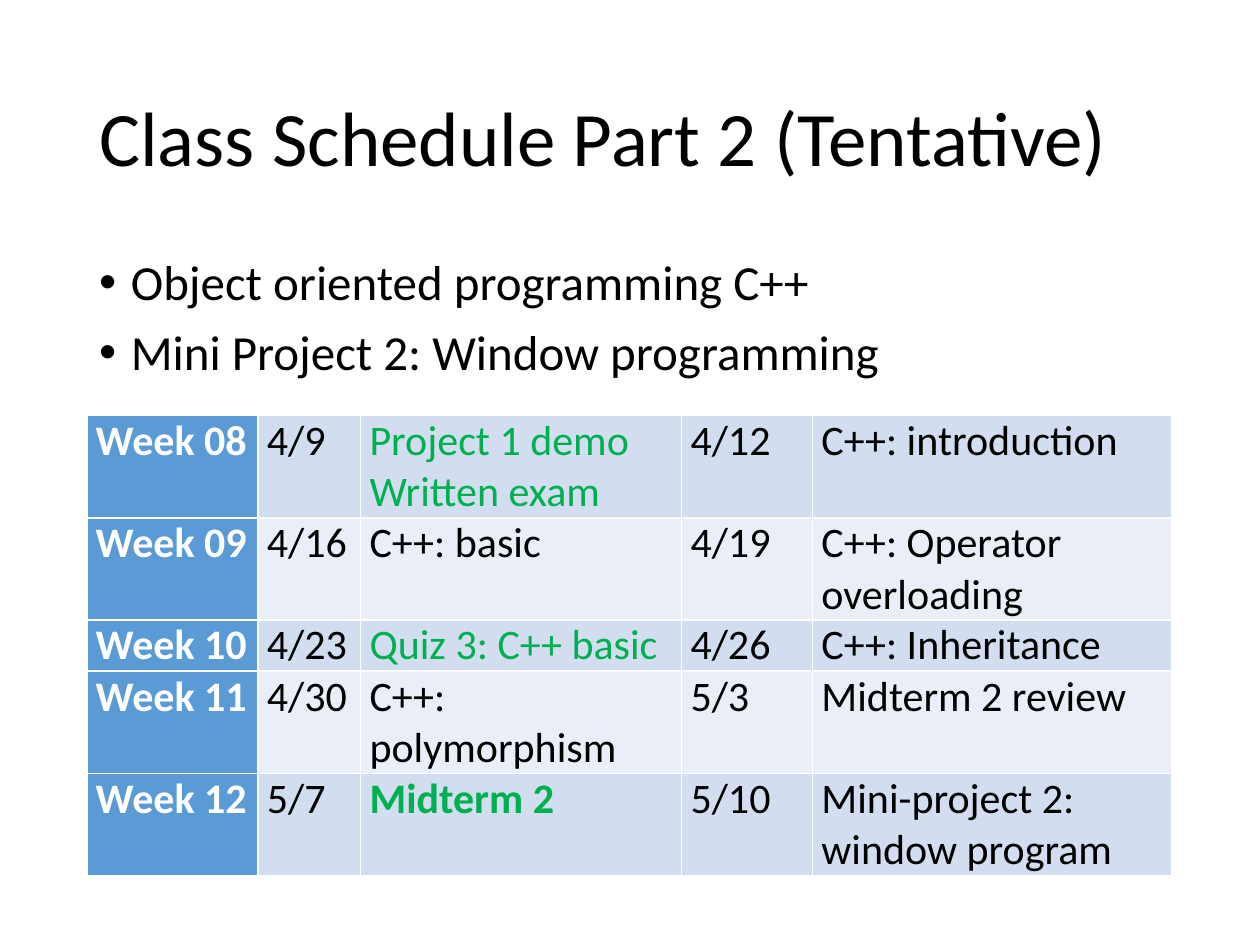
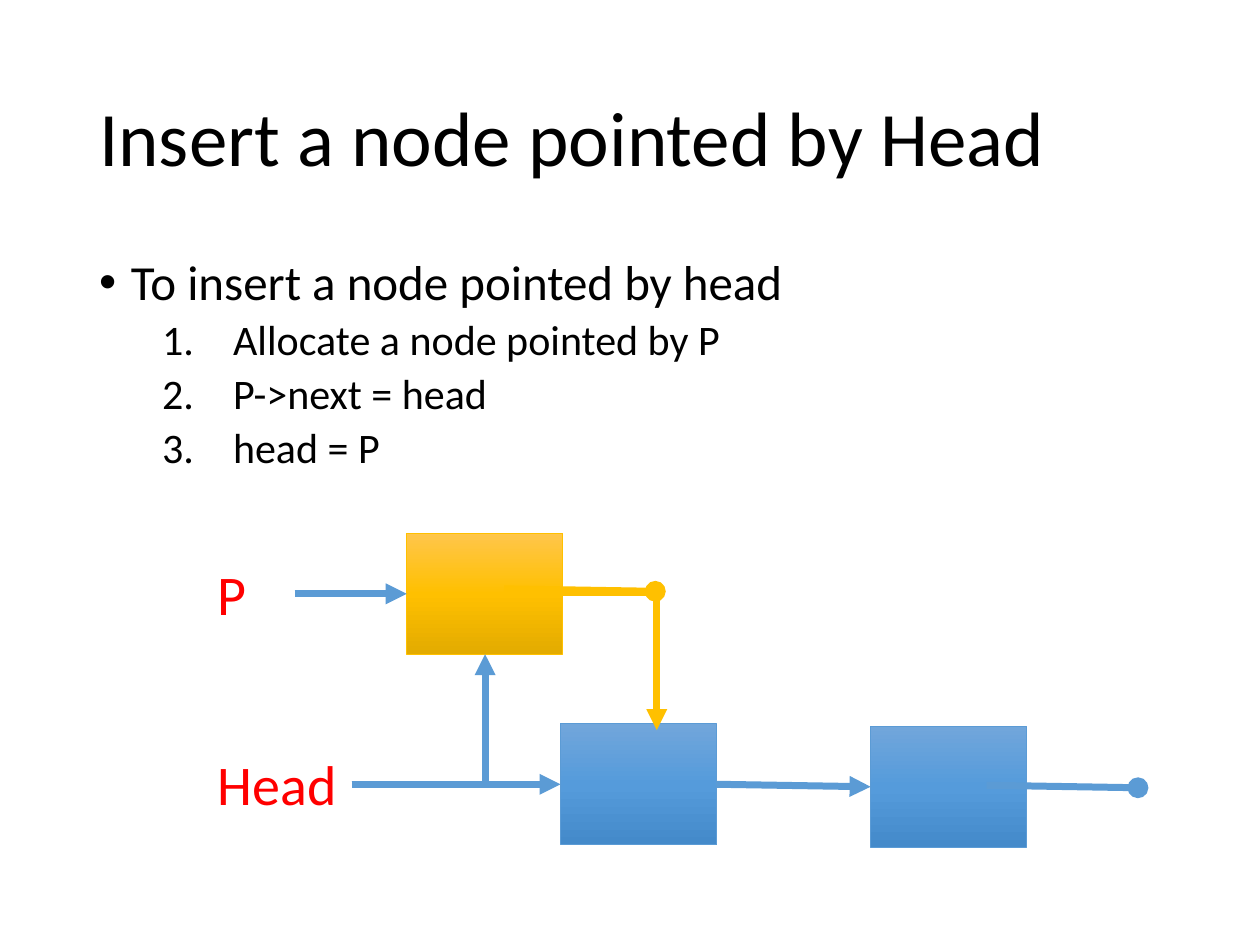
import copy

import pptx
import pptx.dml.color
import pptx.enum.dml
import pptx.enum.shapes
import pptx.enum.text
import pptx.oxml
import pptx.oxml.ns
import pptx.util
from lxml import etree

Cm = pptx.util.Cm
Pt = pptx.util.Pt
qn = pptx.oxml.ns.qn
STRAIGHT = pptx.enum.shapes.MSO_CONNECTOR.STRAIGHT
ELBOW = pptx.enum.shapes.MSO_CONNECTOR.ELBOW

FONT = "Calibri"
COLORS = {
    "text": "000000",
    "label": "FF0000",
    "exam": "00B050",
    "white": "FFFFFF",
    "blue": "5B9BD5",
    "gold": "FFC000",
    "band_dark": "D2DEEF",
    "band_light": "EAEFF7",
}
GRADIENTS = {
    "blue": ["71A6DB", "559BDB", "448ACA"],
    "gold": ["FFC64B", "FFC000", "E3AB00"],
}
TITLE_BOX = (1.75, 1.02, 21.9, 3.68)
BODY_BOX = (1.75, 5.07, 21.9, 12.1)
TABLE_BOX = (1.75, 8.38)
DIAGRAM_BOX = (4.14, 10.75)
COLUMN_WIDTHS = [3.45, 2.07, 6.47, 2.64, 7.24]
LINE_HEIGHT = 1.03
NODE_SIZE = (3.15, 2.44)

SCHEDULE = [
    ["Week 08", "4/9", "Project 1 demo\nWritten exam", "4/12", "C++: introduction"],
    ["Week 09", "4/16", "C++: basic", "4/19", "C++: Operator overloading"],
    ["Week 10", "4/23", "Quiz 3: C++ basic", "4/26", "C++: Inheritance"],
    ["Week 11", "4/30", "C++: polymorphism", "5/3", "Midterm 2 review"],
    ["Week 12", "5/7", "Midterm 2", "5/10", "Mini-project 2: window program"],
]
ROW_LINES = [2, 2, 1, 2, 2]
EXAM_ROWS = (0, 2, 4)
BOLD_EXAM = "Midterm 2"


def rgb(value):
    return pptx.dml.color.RGBColor.from_string(value)


def add_text(frame, text, size=24, color="text", bold=False, spacing=None, before=None):
    paragraph = frame.paragraphs[0]
    if paragraph.runs:
        paragraph = frame.add_paragraph()
    run = paragraph.add_run()
    run.text = text
    run.font.name = FONT
    run.font.size = Pt(size)
    run.font.bold = bold
    run.font.color.rgb = rgb(COLORS[color])
    if spacing:
        paragraph.line_spacing = spacing
    if before:
        paragraph.space_before = Pt(before)
    return paragraph


def add_text_box(slide, box, wrap=True):
    frame = slide.shapes.add_textbox(*map(Cm, box)).text_frame
    frame.word_wrap = wrap
    return frame


def set_marker(paragraph, indent, hanging, tag, **attributes):
    properties = paragraph._p.get_or_add_pPr()
    properties.set("marL", str(Cm(indent)))
    properties.set("indent", str(-Cm(hanging)))
    if tag == "a:buChar":
        etree.SubElement(properties, qn("a:buFont"), typeface="Arial")
    etree.SubElement(properties, qn(tag), **attributes)


def add_title(slide, text, box):
    frame = add_text_box(slide, box)
    frame.vertical_anchor = pptx.enum.text.MSO_ANCHOR.MIDDLE
    add_text(frame, text, size=44, spacing=0.9)


def add_body(slide, bullets, steps, box):
    frame = add_text_box(slide, box)
    for bullet in bullets:
        paragraph = add_text(frame, bullet, size=28, spacing=0.9, before=10)
        set_marker(paragraph, 0.64, 0.64, "a:buChar", char="•")
    for step in steps:
        paragraph = add_text(frame, step, spacing=0.9, before=5)
        paragraph.level = 1
        set_marker(paragraph, 2.7, 1.43, "a:buAutoNum", type="arabicPeriod")


def format_cell(cell, fill):
    cell.margin_left = cell.margin_right = Cm(0.18)
    cell.margin_top = cell.margin_bottom = 0
    properties = cell._tc.get_or_add_tcPr()
    for side in ("a:lnL", "a:lnR", "a:lnT", "a:lnB"):
        border = etree.SubElement(properties, qn(side), w=str(Pt(1)))
        solid = etree.SubElement(border, qn("a:solidFill"))
        etree.SubElement(solid, qn("a:srgbClr"), val=COLORS["white"])
    cell.fill.solid()
    cell.fill.fore_color.rgb = rgb(COLORS[fill])


def add_schedule(slide, left, top):
    width, height = sum(COLUMN_WIDTHS), sum(ROW_LINES) * LINE_HEIGHT
    table = slide.shapes.add_table(
        len(SCHEDULE), len(COLUMN_WIDTHS), Cm(left), Cm(top), Cm(width), Cm(height)
    ).table
    table.first_row = table.horz_banding = False
    for column, column_width in zip(table.columns, COLUMN_WIDTHS):
        column.width = Cm(column_width)
    for row_index, (row, entries) in enumerate(zip(table.rows, SCHEDULE)):
        row.height = Cm(ROW_LINES[row_index] * LINE_HEIGHT)
        band = "band_light" if row_index % 2 else "band_dark"
        for column_index, (cell, entry) in enumerate(zip(row.cells, entries)):
            is_week = column_index == 0
            is_exam = column_index == 2 and row_index in EXAM_ROWS
            color = "white" if is_week else "exam" if is_exam else "text"
            format_cell(cell, "blue" if is_week else band)
            for line in entry.split("\n"):
                add_text(cell.text_frame, line, color=color, bold=is_week or line == BOLD_EXAM)


def add_node(slide, left, top, color):
    node = slide.shapes.add_shape(
        pptx.enum.shapes.MSO_SHAPE.RECTANGLE, Cm(left), Cm(top), *map(Cm, NODE_SIZE)
    )
    node.shadow.inherit = False
    node.line.color.rgb = rgb(COLORS[color])
    node.line.width = Pt(0.5)
    node.fill.gradient()
    node.fill.gradient_angle = 270
    stop_list = node._element.spPr.find(".//" + qn("a:gsLst"))
    stop_list.append(copy.deepcopy(stop_list[0]))
    for index, (stop, value) in enumerate(zip(node.fill.gradient_stops, GRADIENTS[color])):
        stop.position = index / 2
        stop.color.rgb = rgb(value)
    return node


def add_link(slide, begin, end, color="blue", tip="triangle", kind=STRAIGHT):
    link = slide.shapes.add_connector(kind, *map(Cm, begin + end))
    link.line.color.rgb = rgb(COLORS[color])
    link.line.width = Pt(4)
    etree.SubElement(link.line._get_or_add_ln(), qn("a:tailEnd"), type=tip)
    etree.SubElement(link._element.spPr, qn("a:effectLst"))
    return link


def add_list_diagram(slide, left, top):
    def at(x, y):
        return left + x, top + y

    first = add_node(slide, *at(7.16, 3.84), "blue")
    head_arrow = add_link(slide, at(2.95, 5.06), at(7.16, 5.06))
    head_arrow.end_connect(first, 1)
    second = add_node(slide, *at(13.41, 3.89), "blue")
    add_link(slide, at(15.75, 5.08), at(18.8, 5.13), tip="oval")
    next_arrow = add_link(slide, at(10.31, 5.06), at(13.41, 5.11))
    next_arrow.begin_connect(first, 3)
    next_arrow.end_connect(second, 1)

    inserted = add_node(slide, *at(4.06, 0), "gold")
    add_link(slide, at(6.02, 1.12), at(9.07, 1.17), color="gold", tip="oval")
    inserted_next = add_link(slide, at(9.19, 1.19), at(6.32, 3.88), color="gold", kind=ELBOW)
    inserted_next.rotation = 270
    adjustments = inserted_next._element.spPr.find(qn("a:prstGeom")).get_or_add_avLst()
    etree.SubElement(adjustments, qn("a:gd"), name="adj1", fmla="val 3100")
    new_head = add_link(slide, at(2.95, 5.06), at(5.64, 2.44), kind=ELBOW)
    new_head._element.spPr.find(qn("a:prstGeom")).set("prst", "bentConnector2")
    pointer_arrow = add_link(slide, at(1.8, 1.22), at(4.06, 1.22))
    pointer_arrow.end_connect(inserted, 1)

    for label, y, width in (("Head", 4.24, 2.95), ("P", 0.41, 1.8)):
        frame = add_text_box(slide, at(0, y) + (width, 1.63), wrap=False)
        add_text(frame, label, size=32, color="label")


def add_content_slide(presentation, title, bullets, steps=()):
    slide = presentation.slides.add_slide(presentation.slide_layouts[6])
    add_title(slide, title, TITLE_BOX)
    add_body(slide, bullets, steps, BODY_BOX)
    return slide


def main():
    presentation = pptx.Presentation()
    presentation.slide_width = Cm(25.4)
    presentation.slide_height = Cm(19.05)
    schedule_slide = add_content_slide(
        presentation,
        "Class Schedule Part 2 (Tentative)",
        ["Object oriented programming C++", "Mini Project 2: Window programming"],
    )
    add_schedule(schedule_slide, *TABLE_BOX)
    insert_slide = add_content_slide(
        presentation,
        "Insert a node pointed by Head",
        ["To insert a node pointed by head"],
        ["Allocate a node pointed by P", "P->next = head", "head = P"],
    )
    add_list_diagram(insert_slide, *DIAGRAM_BOX)
    presentation.save("out.pptx")


if __name__ == "__main__":
    main()
